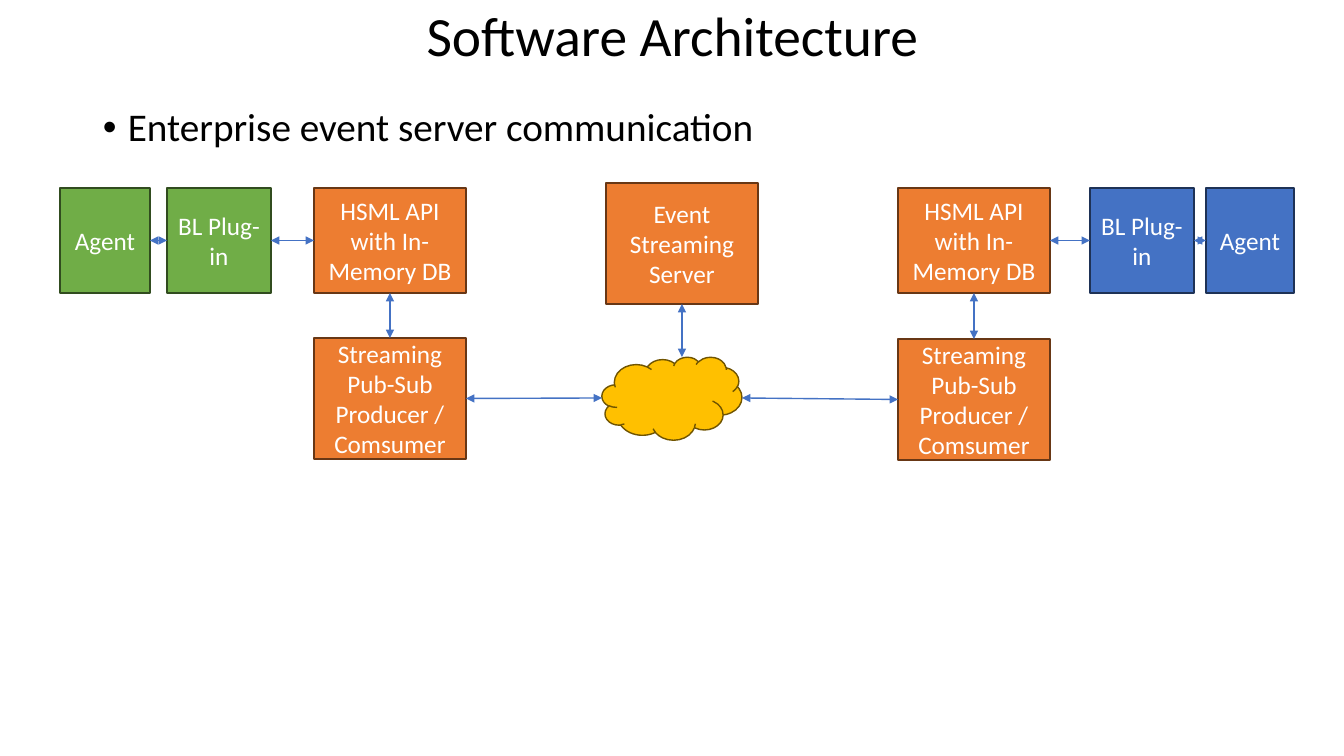
import dataclasses

import lxml.etree
import pptx
import pptx.dml.color
import pptx.enum.shapes
import pptx.enum.text
import pptx.oxml.ns
import pptx.util

EMU_PER_PX = 914400 / 100.8
TOP, BOTTOM, LEFT, RIGHT = 0, 2, 1, 3
SHAPES = pptx.enum.shapes.MSO_SHAPE
ALIGN = pptx.enum.text.PP_ALIGN
ANCHOR = pptx.enum.text.MSO_ANCHOR


@dataclasses.dataclass(frozen=True)
class Theme:
    font: str = "Calibri"
    text: str = "000000"
    box_text: str = "FFFFFF"
    arrow: str = "4472C4"
    # (fill, outline) pairs
    green: tuple = ("70AD47", "314C1F")
    blue: tuple = ("4472C4", "1E3256")
    orange: tuple = ("ED7D31", "683715")
    yellow: tuple = ("FFC000", "705400")
    title_size: float = 39.6
    bullet_size: float = 28
    box_size: float = 18
    line_width: float = 1


THEME = Theme()


def px(value):
    return pptx.util.Emu(round(value * EMU_PER_PX))


def rgb(value):
    return pptx.dml.color.RGBColor.from_string(value)


def write(text_frame, text, size, color, align, anchor):
    text_frame.word_wrap = True
    text_frame.vertical_anchor = anchor
    paragraph = text_frame.paragraphs[0]
    paragraph.text = text
    paragraph.alignment = align
    for run in paragraph.runs:
        run.font.name = THEME.font
        run.font.size = pptx.util.Pt(size)
        run.font.color.rgb = rgb(color)
    return paragraph


def add_text(slide, bounds, text, size, align, anchor):
    text_box = slide.shapes.add_textbox(*map(px, bounds))
    paragraph = write(text_box.text_frame, text, size, THEME.text, align, anchor)
    paragraph.line_spacing = 0.9
    return paragraph


def add_bullet(paragraph, indent):
    properties = paragraph._p.get_or_add_pPr()
    properties.set("marL", str(px(indent)))
    properties.set("indent", str(-px(indent)))
    for tag, name, value in (("a:buFont", "typeface", "Arial"), ("a:buChar", "char", "•")):
        lxml.etree.SubElement(properties, pptx.oxml.ns.qn(tag)).set(name, value)


def add_node(slide, bounds, colors, text="", kind=SHAPES.RECTANGLE):
    fill, outline = colors
    shape = slide.shapes.add_shape(kind, *map(px, bounds))
    shape.shadow.inherit = False
    shape.fill.solid()
    shape.fill.fore_color.rgb = rgb(fill)
    shape.line.color.rgb = rgb(outline)
    shape.line.width = pptx.util.Pt(THEME.line_width)
    if text:
        write(shape.text_frame, text, THEME.box_size, THEME.box_text, ALIGN.CENTER, ANCHOR.MIDDLE)
    return shape


def add_arrow(slide, start, end):
    """Draw a two-headed arrow; each end is a (box, side) pair or an (x, y) point in px."""
    connector = slide.shapes.add_connector(pptx.enum.shapes.MSO_CONNECTOR.STRAIGHT, 0, 0, 0, 0)
    if isinstance(end[0], int):
        connector.end_x, connector.end_y = map(px, end)
    else:
        connector.end_connect(*end)
    connector.begin_connect(*start)
    connector.line.color.rgb = rgb(THEME.arrow)
    connector.line.width = pptx.util.Pt(THEME.line_width)
    line = connector.line._get_or_add_ln()
    for tag in ("a:headEnd", "a:tailEnd"):
        lxml.etree.SubElement(line, pptx.oxml.ns.qn(tag)).set("type", "triangle")
    lxml.etree.SubElement(connector._element.spPr, pptx.oxml.ns.qn("a:effectLst"))


def add_client(slide, agent_span, plugin_left, api_left, producer_top, colors, outer, inner, cloud_end):
    """Build one client chain, from its agent on the outer side to the cloud."""
    row_top, row_height, api_width = 188, 105, 152
    agent_left, agent_width = agent_span
    agent = add_node(slide, (agent_left, row_top, agent_width, row_height), colors, "Agent")
    plugin = add_node(slide, (plugin_left, row_top, 104, row_height), colors, "BL Plug-in")
    api = add_node(slide, (api_left, row_top, api_width, row_height), THEME.orange,
                   "HSML API with In-Memory DB")
    producer = add_node(slide, (api_left, producer_top, api_width, 121), THEME.orange,
                        "Streaming Pub-Sub Producer / Comsumer")
    add_arrow(slide, (agent, inner), (plugin, outer))
    add_arrow(slide, (plugin, inner), (api, outer))
    add_arrow(slide, (api, BOTTOM), (producer, TOP))
    add_arrow(slide, (producer, inner), cloud_end)


def main():
    presentation = pptx.Presentation()
    presentation.slide_width, presentation.slide_height = px(1344), px(756)
    slide = presentation.slides.add_slide(presentation.slide_layouts[6])

    add_text(slide, (93, 11, 1159, 56), "Software Architecture",
             THEME.title_size, ALIGN.CENTER, ANCHOR.MIDDLE)
    bullet = add_text(slide, (93, 103, 1159, 81), "Enterprise event server communication",
                      THEME.bullet_size, ALIGN.LEFT, ANCHOR.TOP)
    add_bullet(bullet, 25)

    add_node(slide, (602, 357, 140, 83), THEME.yellow, kind=SHAPES.CLOUD)
    add_client(slide, (60, 90), 167, 314, 338, THEME.green, LEFT, RIGHT, (602, 398))
    add_client(slide, (1206, 88), 1090, 898, 339, THEME.blue, RIGHT, LEFT, (742, 398))
    server = add_node(slide, (606, 183, 152, 121), THEME.orange, "Event Streaming Server")
    add_arrow(slide, (server, BOTTOM), (682, 357))

    presentation.save("out.pptx")


if __name__ == "__main__":
    main()
